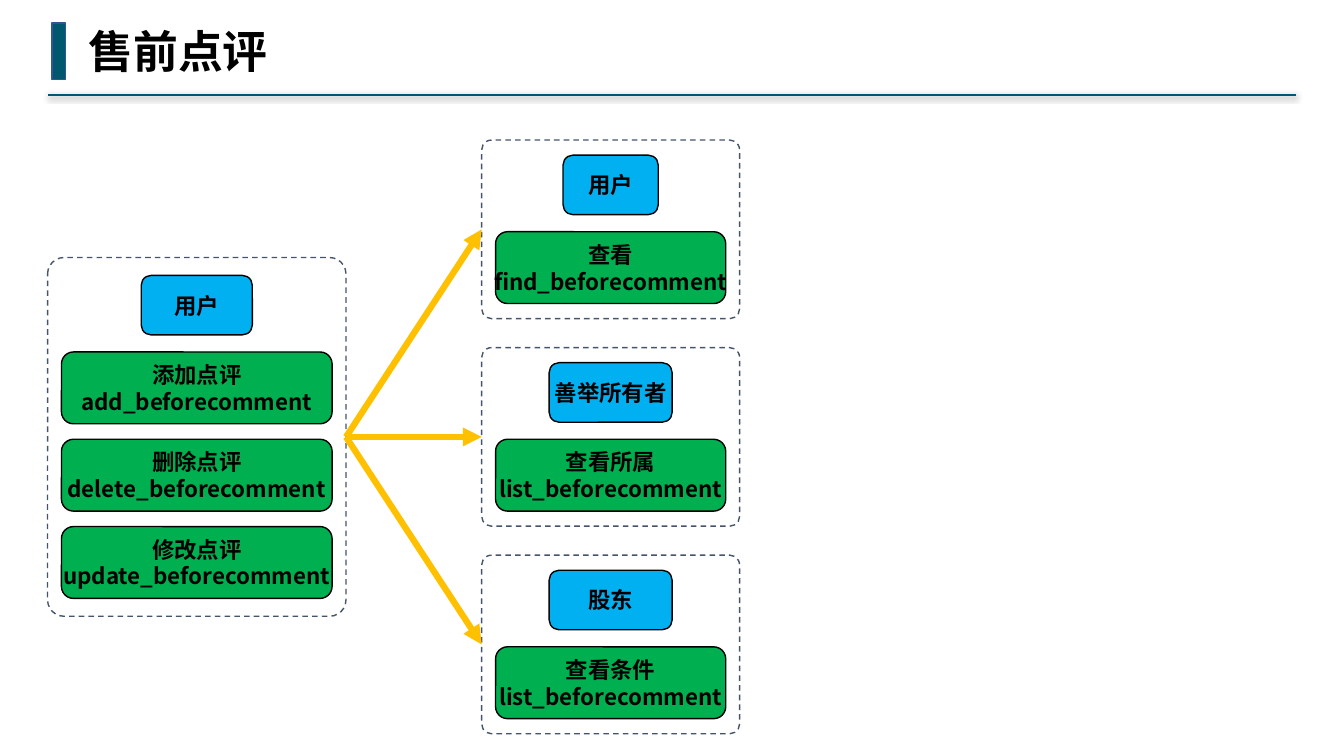
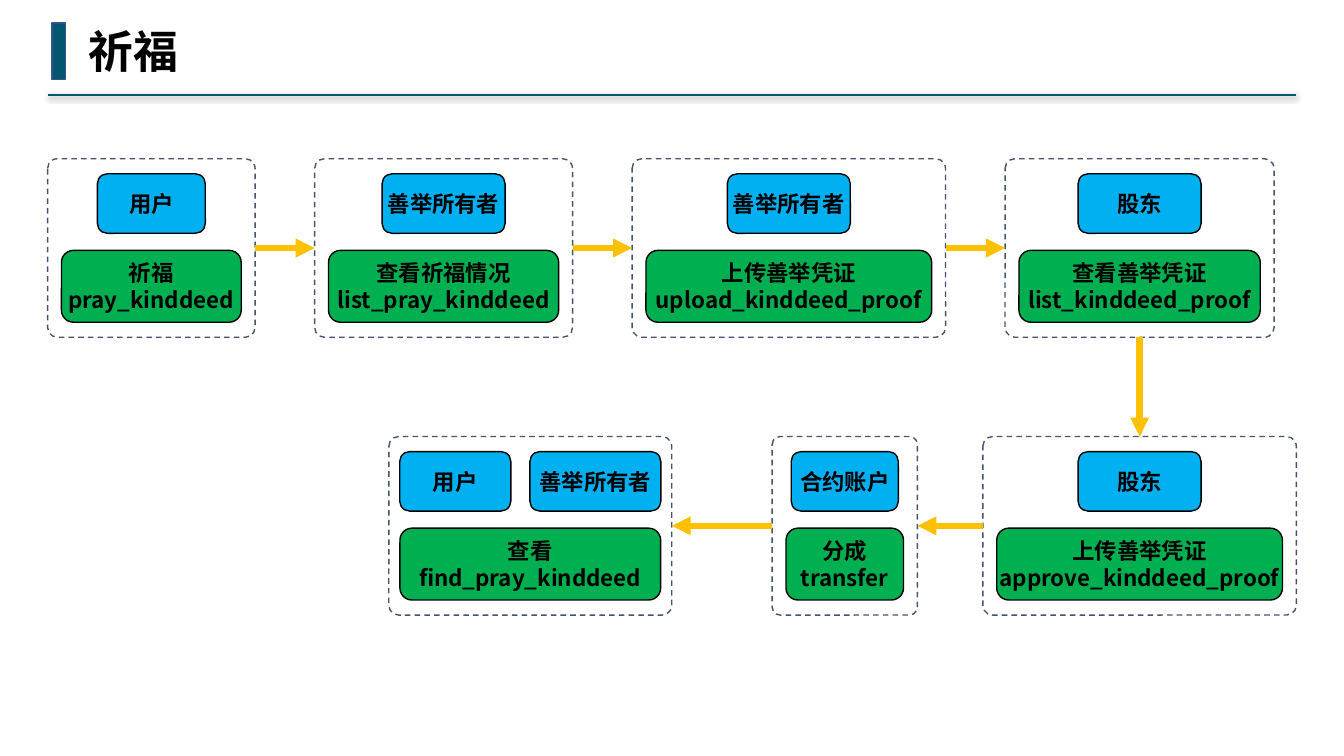
import dataclasses
import itertools

import lxml.etree
import pptx
import pptx.dml.color
import pptx.enum.dml
import pptx.enum.shapes
import pptx.enum.text
import pptx.oxml.ns
import pptx.util

Cm = pptx.util.Cm
Pt = pptx.util.Pt
qn = pptx.oxml.ns.qn
Kind = pptx.enum.shapes.MSO_SHAPE
Wire = pptx.enum.shapes.MSO_CONNECTOR
Align = pptx.enum.text.PP_ALIGN
Anchor = pptx.enum.text.MSO_ANCHOR

TOP, LEFT, BOTTOM, RIGHT = range(4)


@dataclasses.dataclass(frozen=True)
class Theme:
    ink: str = "000000"
    teal: str = "00576E"
    trim: str = "325491"
    frame: str = "44546A"
    role: str = "00B0F0"
    task: str = "00B050"
    arrow: str = "FFC000"
    head: int = 32
    body: int = 16
    headface: str = "Noto Sans Mono"
    bodyface: str = "Noto Sans CJK SC"


THEME = Theme()
ROLE_H = 1.5
TASK_H = 1.81
TASK_TOP = 1.93
TASK_STEP = 2.2
ROLE_GAP = 0.48
PAD = 0.38
SIDE = 0.35


def color(code):
    return pptx.dml.color.RGBColor.from_string(code)


def write(shape, text, size=THEME.body, face=THEME.bodyface,
          align=Align.CENTER, anchor=Anchor.MIDDLE, inset=0.1):
    frame = shape.text_frame
    frame.word_wrap = False
    frame.vertical_anchor = anchor
    if inset is not None:
        frame.margin_left = frame.margin_right = Cm(inset)
        frame.margin_top = frame.margin_bottom = Cm(inset)
    frame.text = text
    for para in frame.paragraphs:
        para.alignment = align
        for run in para.runs:
            font = run.font
            font.name, font.size, font.bold = face, Pt(size), True
            font.color.rgb = color(THEME.ink)
            east = lxml.etree.SubElement(run._r.get_or_add_rPr(), qn("a:ea"))
            east.set("typeface", face)


def block(shapes, kind, left, top, width, height, fill=None, line=THEME.ink):
    shape = shapes.add_shape(kind, Cm(left), Cm(top), Cm(width), Cm(height))
    shape.shadow.inherit = False
    if fill:
        shape.fill.solid()
        shape.fill.fore_color.rgb = color(fill)
    else:
        shape.fill.background()
    shape.line.color.rgb = color(line)
    shape.line.width = Pt(1)
    return shape


def label(shapes, text, left, top, width, height, fill):
    shape = block(shapes, Kind.ROUNDED_RECTANGLE, left, top, width, height, fill)
    write(shape, text)


def panel(slide, left, top, width, roles, tasks, pad=PAD, side=SIDE):
    height = 2 * pad + TASK_TOP + TASK_H + TASK_STEP * (len(tasks) - 1)
    shapes = slide.shapes.add_group_shape().shapes
    frame = block(shapes, Kind.ROUNDED_RECTANGLE, left, top, width, height,
                  line=THEME.frame)
    frame.adjustments[0] = 0.055
    frame.line.dash_style = pptx.enum.dml.MSO_LINE.DASH
    span = sum(wide for _, wide in roles) + ROLE_GAP * (len(roles) - 1)
    x = left + (width - span) / 2
    for text, wide in roles:
        label(shapes, text, x, top + pad, wide, ROLE_H, THEME.role)
        x += wide + ROLE_GAP
    for row, text in enumerate(tasks):
        y = top + pad + TASK_TOP + row * TASK_STEP
        label(shapes, text, left + side, y, width - 2 * side, TASK_H, THEME.task)
    return frame


def wire(slide, start, end, tint, weight):
    line = slide.shapes.add_connector(
        Wire.STRAIGHT, *(Cm(value) for value in start + end))
    line.line.color.rgb = color(tint)
    line.line.width = Pt(weight)
    effect = lxml.etree.SubElement(line._element.spPr, qn("a:effectLst"))
    return line, effect


def arrow(slide, first, last, out=RIGHT, into=LEFT):
    line, _ = wire(slide, (0, 0), (1, 1), THEME.arrow, 4.5)
    line.begin_connect(first, out)
    line.end_connect(last, into)
    tail = lxml.etree.SubElement(line.line._get_or_add_ln(), qn("a:tailEnd"))
    tail.set("type", "triangle")


def header(slide, text):
    _, effect = wire(slide, (32.67, 2.4), (1.2, 2.4), THEME.teal, 1.5)
    shade = lxml.etree.SubElement(
        effect, qn("a:outerShdw"), blurRad=str(Pt(4)), dist=str(Pt(1)),
        dir="5400000", rotWithShape="0")
    tint = lxml.etree.SubElement(shade, qn("a:srgbClr"), val=THEME.ink)
    lxml.etree.SubElement(tint, qn("a:alpha"), val="40000")
    block(slide.shapes, Kind.RECTANGLE, 1.31, 0.58, 0.34, 1.43,
          THEME.teal, THEME.trim)
    width = 0.6 + 1.14 * len(text)
    title = slide.shapes.add_textbox(Cm(1.98), Cm(0.48), Cm(width), Cm(1.62))
    write(title, text, size=THEME.head, face=THEME.headface,
          align=Align.LEFT, anchor=Anchor.TOP, inset=None)
    title.text_frame.auto_size = pptx.enum.text.MSO_AUTO_SIZE.SHAPE_TO_FIT_TEXT


def review(slide):
    header(slide, "售前点评")
    user = panel(slide, 1.2, 6.49, 7.52, [("用户", 2.8)],
                 ["添加点评\nadd_beforecomment",
                  "删除点评\ndelete_beforecomment",
                  "修改点评\nupdate_beforecomment"], pad=0.45)
    views = [("用户", 2.4, "查看\nfind_beforecomment"),
             ("善举所有者", 3.1, "查看所属\nlist_beforecomment"),
             ("股东", 3.1, "查看条件\nlist_beforecomment")]
    for row, (role, wide, task) in enumerate(views):
        view = panel(slide, 12.14, 3.53 + row * 5.23, 6.5, [(role, wide)], [task])
        arrow(slide, user, view)


def prayer(slide):
    header(slide, "祈福")
    steps = [(5.23, "用户", 2.72, "祈福\npray_kinddeed"),
             (6.5, "善举所有者", 3.1, "查看祈福情况\nlist_pray_kinddeed"),
             (7.9, "善举所有者", 3.1, "上传善举凭证\nupload_kinddeed_proof"),
             (6.78, "股东", 3.1, "查看善举凭证\nlist_kinddeed_proof")]
    upper = []
    left = 1.2
    for width, role, wide, task in steps:
        upper.append(panel(slide, left, 4, width, [(role, wide)], [task]))
        left += width + 1.5
    lower = [
        panel(slide, 24.77, 11, 7.9, [("股东", 3.1)],
              ["上传善举凭证\napprove_kinddeed_proof"]),
        panel(slide, 19.46, 11, 3.66, [("合约账户", 2.7)], ["分成\ntransfer"]),
        panel(slide, 9.8, 11, 7.13, [("用户", 2.8), ("善举所有者", 3.3)],
              ["查看\nfind_pray_kinddeed"], side=0.28)]
    for first, last in itertools.pairwise(upper):
        arrow(slide, first, last)
    arrow(slide, upper[-1], lower[0], BOTTOM, TOP)
    for first, last in itertools.pairwise(lower):
        arrow(slide, first, last, LEFT, RIGHT)


def main():
    deck = pptx.Presentation()
    deck.slide_width, deck.slide_height = Cm(33.87), Cm(19.05)
    for draw in (review, prayer):
        draw(deck.slides.add_slide(deck.slide_layouts[6]))
    deck.save("out.pptx")


main()
